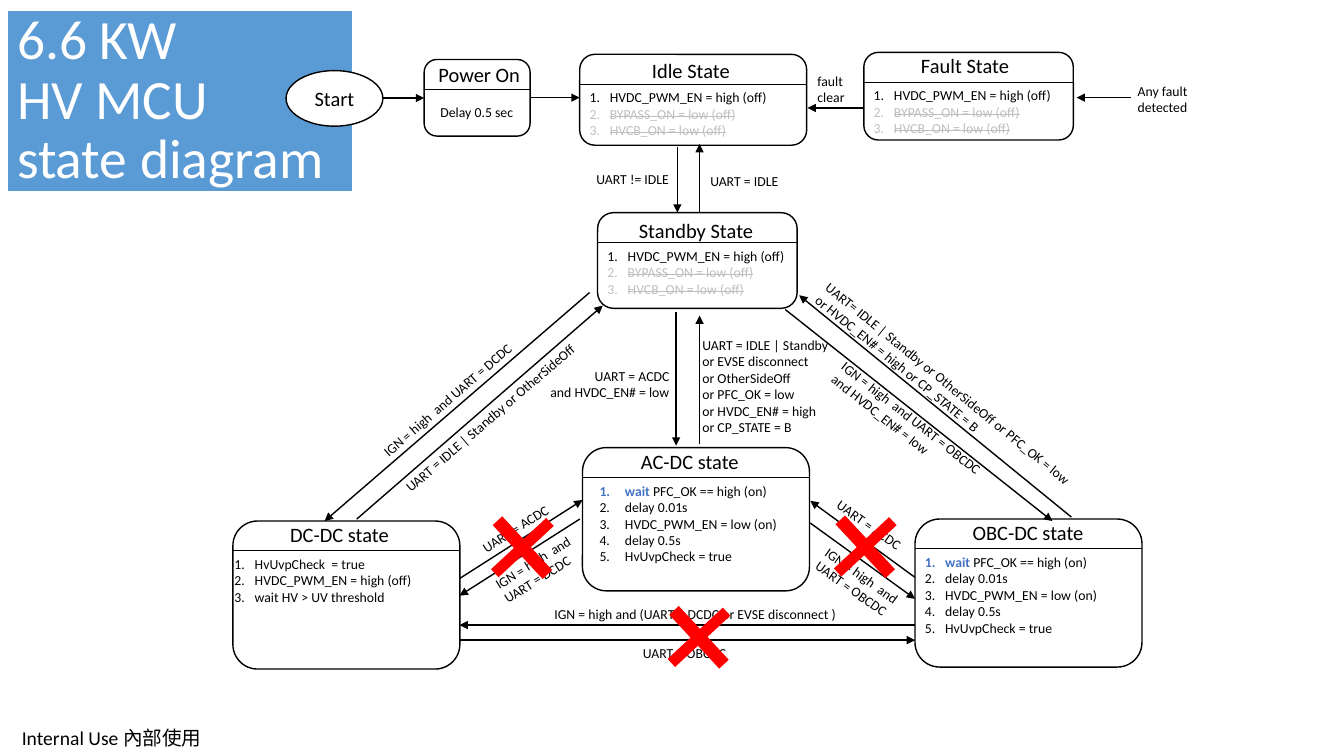
"""Build the state diagram slide of the 6.6 KW HV MCU."""
import lxml.etree
import pptx
import pptx.dml.color
import pptx.enum.shapes
import pptx.enum.text
import pptx.oxml.ns
import pptx.util

Cm = pptx.util.Cm
Pt = pptx.util.Pt
SHAPE = pptx.enum.shapes.MSO_SHAPE
ALIGN = pptx.enum.text.PP_ALIGN
MIDDLE = pptx.enum.text.MSO_ANCHOR.MIDDLE

BLACK, WHITE, GREY = "000000", "FFFFFF", "BFBFBF"
BLUE, SKY, RED = "4472C4", "5B9BD5", "FF0000"
SMALL, LARGE = 9.8, 14.6
SPLIT = 0.75

OFF = ["HVDC_PWM_EN = high (off)",
       [("BYPASS_ON = low (off)", "old")],
       [("HVCB_ON = low (off)", "old")]]
START_UP = [[("wait ", "key"), ("PFC_OK == high (on)", "plain")],
            "delay 0.01s", "HVDC_PWM_EN = low (on)", "delay 0.5s",
            "HvUvpCheck = true"]
DC_STEPS = ["HvUvpCheck  = true", "HVDC_PWM_EN = high (off)",
            "wait HV > UV threshold"]

STATES = [
    ((10.69, 1.5, 2.67, 1.93), "Power On", 10.8, 1.45, [], 0, 0),
    ((14.61, 1.37, 5.72, 2.29), "Idle State", 16.18, 1.35, OFF, 14.61, 0.51),
    ((15.06, 5.36, 5.03, 2.41), "Standby State", 15.85, 5.36, OFF, 15.06, 0.51),
    ((21.77, 1.32, 5.28, 2.21), "Fault State", 22.96, 1.22, OFF, 21.77, 0.51),
    ((5.87, 13.13, 5.72, 3.73), "DC-DC state", 7.06, 13.03, DC_STEPS, 5.66, 0.51),
    ((14.68, 11.28, 5.72, 3.61), "AC-DC state", 15.9, 11.18, START_UP, 14.86, 0.64),
    ((23.06, 13.08, 5.72, 3.73), "OBC-DC state", 24.26, 12.98, START_UP, 23.06, 0.51),
]

ARROWS = [
    (9.65, 2.47, 10.69, 2.47), (13.36, 2.46, 14.61, 2.46),
    (21.74, 2.72, 20.35, 2.72), (28.5, 2.46, 27.13, 2.46),
    (17.63, 5.33, 17.63, 3.63), (17.07, 3.71, 17.07, 5.36),
    (14.86, 7.37, 8.18, 13.13), (8.99, 13.08, 15.19, 7.7),
    (17.04, 7.85, 17.04, 11.23), (17.63, 11.18, 17.63, 7.95),
    (19.79, 7.8, 26.52, 13.13), (27, 13.03, 20.14, 7.44),
    (11.58, 14.58, 14.68, 12.6), (14.61, 13.08, 11.58, 15.01),
    (23.06, 14.55, 20.42, 12.62), (20.42, 13.18, 23.06, 15.09),
    (23.06, 15.75, 11.58, 15.75), (11.58, 16.13, 23.06, 16.13),
]

LABELS = [
    (10.85, 2.49, 2.6, 1, 0, ["Delay 0.5 sec"]),
    (14.78, 4.19, 2.67, 1, 0, ["UART != IDLE"]),
    (17.65, 4.22, 3.73, 1, 0, ["UART = IDLE"]),
    (20.35, 1.7, 1.4, 2, 0, ["fault", "clear"]),
    (28.42, 1.96, 1.9, 2, 0, ["Any fault", "detected"]),
    (8.89, 9.55, 5.23, 1, -40.9, ["IGN = high  and UART = DCDC"]),
    (9.32, 10.08, 6.32, 1, -40.7, ["UART = IDLE | Standby or OtherSideOff"]),
    (20.32, 10.44, 5.77, 2, 38.2,
     ["IGN = high  and UART = OBCDC", "and HVDC_EN# = low"]),
    (19.56, 9.4, 8.69, 2, 39.2,
     ["UART= IDLE | Standby or OtherSideOff or PFC_OK = low",
      "or HVDC_EN# = high or CP_STATE = B"]),
    (17.45, 8.36, 3.76, 6, 0,
     ["UART = IDLE | Standby\nor EVSE disconnect", "or OtherSideOff",
      "or PFC_OK = low", "or HVDC_EN# = high", "or CP_STATE = B"]),
    (15.95, 16.13, 3, 1, 0, ["UART = OBCDC"]),
    (13.72, 15.14, 8.03, 1, 0,
     ["IGN = high and (UART = DCDC or EVSE disconnect )"]),
    (11.79, 12.95, 2.51, 1, -32.1, ["UART = ACDC"]),
    (12.17, 13.67, 3.18, 2, -32.1, ["IGN = high  and UART = DCDC"]),
    (20.7, 12.93, 2.51, 1, 35.4, ["UART = ACDC"]),
    (20.24, 14.22, 2.97, 2, 35.4, ["IGN = high  and UART = OBCDC"]),
]
CROSSES = [(12.24, 12.85), (20.88, 12.83), (16.69, 15.11)]


def tint(code):
    """Turn a hex string into a colour."""
    return pptx.dml.color.RGBColor.from_string(code)


def add_tag(parent, name, **attrs):
    """Append a drawing element to a parent."""
    return lxml.etree.SubElement(parent, pptx.oxml.ns.qn(name), attrs)


def add_run(para, text, size, style="plain", color=BLACK):
    """Add one styled run to a paragraph."""
    run = para.add_run()
    run.text = text
    font = run.font
    font.name, font.size = "Calibri", Pt(size)
    font.bold = style == "key"
    shade = {"plain": color, "old": GREY, "key": BLUE}[style]
    font.color.rgb = tint(shade)
    if style == "old":
        run._r.get_or_add_rPr().set("strike", "sngStrike")


def write(frame, lines, size, color=BLACK, align=ALIGN.LEFT, indent=0):
    """Fill a text frame, numbering its lines when indented."""
    for index, line in enumerate(lines):
        para = frame.add_paragraph() if index else frame.paragraphs[0]
        para.alignment = align
        if indent:
            props = para._p.get_or_add_pPr()
            props.set("marL", str(Cm(indent)))
            props.set("indent", str(-Cm(indent)))
            add_tag(props, "a:buAutoNum", type="arabicPeriod")
        runs = [(line, "plain")] if isinstance(line, str) else line
        for text, style in runs:
            for row, part in enumerate(text.split("\n")):
                if row:
                    para.add_line_break()
                add_run(para, part, size, style, color)


def add_text(slide, box, lines, size=SMALL, turn=0, **look):
    """Add a text box and return it."""
    text = slide.shapes.add_textbox(*map(Cm, box))
    text.rotation = turn
    text.text_frame.word_wrap = True
    write(text.text_frame, lines, size, **look)
    return text


def add_form(slide, kind, box, fill=WHITE, line=BLACK, width=1):
    """Add a flat preset shape and return it."""
    form = slide.shapes.add_shape(kind, *map(Cm, box))
    form.shadow.inherit = False
    form.fill.solid()
    form.fill.fore_color.rgb = tint(fill)
    if line:
        form.line.color.rgb = tint(line)
        form.line.width = Pt(width)
    else:
        form.line.fill.background()
    return form


def add_line(slide, ends, width=1, arrow=True):
    """Add a straight line, with an arrowhead at its end if asked."""
    kind = pptx.enum.shapes.MSO_CONNECTOR.STRAIGHT
    line = slide.shapes.add_connector(kind, *map(Cm, ends))
    line.line.color.rgb = tint(BLACK)
    line.line.width = Pt(width)
    if arrow:
        add_tag(line.line._get_or_add_ln(), "a:tailEnd", type="triangle")
    add_tag(line._element.spPr, "a:effectLst")


def add_state(slide, box, name, left, top, steps, edge, indent):
    """Add a state box with its name, rule and numbered steps."""
    x, y, width, _ = box
    rule = y + SPLIT
    add_form(slide, SHAPE.FLOWCHART_ALTERNATE_PROCESS, box)
    add_line(slide, (x, rule, x + width, rule), 0.5, False)
    add_text(slide, (left, top, 4, 0.89), [name], LARGE)
    if steps:
        add_text(slide, (edge, rule, 5.5, 0.41 * len(steps) + 0.27), steps,
                 indent=indent)


def add_title(slide):
    """Add the blue title block."""
    title = add_form(slide, SHAPE.RECTANGLE, (0.18, 0.25, 8.71, 4.6),
                     SKY, WHITE, 1.5)
    frame = title.text_frame
    frame.vertical_anchor = MIDDLE
    write(frame, ["6.6 KW \nHV MCU \nstate diagram"], 39.6, WHITE)
    frame.paragraphs[0].line_spacing = 0.9


def add_label(slide, left, top, width, rows, turn, lines, **look):
    """Add an arrow label as high as its rows."""
    box = left, top, width, 0.41 * rows + 0.27
    add_text(slide, box, lines, turn=turn, **look)


def main():
    """Build the slide and save it."""
    deck = pptx.Presentation()
    deck.slide_width, deck.slide_height = Cm(33.87), Cm(19.05)
    slide = deck.slides.add_slide(deck.slide_layouts[6])
    foot = add_text(slide, (0.55, 18.14, 5.2, 0.91), ["Internal Use 內部使用"], 14)
    frame = foot.text_frame
    frame.margin_left = frame.margin_right = 0
    frame.margin_top = frame.margin_bottom = 0
    frame.vertical_anchor = MIDDLE
    add_title(slide)
    start = add_form(slide, SHAPE.OVAL, (7.21, 1.78, 2.44, 1.4))
    start.text_frame.vertical_anchor = MIDDLE
    write(start.text_frame, ["Start"], LARGE, align=ALIGN.CENTER)
    for state in STATES:
        add_state(slide, *state)
    for ends in ARROWS:
        add_line(slide, ends)
    for label in LABELS:
        add_label(slide, *label)
    add_label(slide, 13.26, 9.14, 3.86, 2, 0,
              ["UART = ACDC", "and HVDC_EN# = low"], align=ALIGN.RIGHT)
    for left, top in CROSSES:
        cross = add_form(slide, SHAPE.CROSS, (left, top, 1.85, 1.9), RED, None)
        cross.adjustments[0] = 0.425
        cross.rotation = 47.1
    deck.save("out.pptx")


if __name__ == "__main__":
    main()
